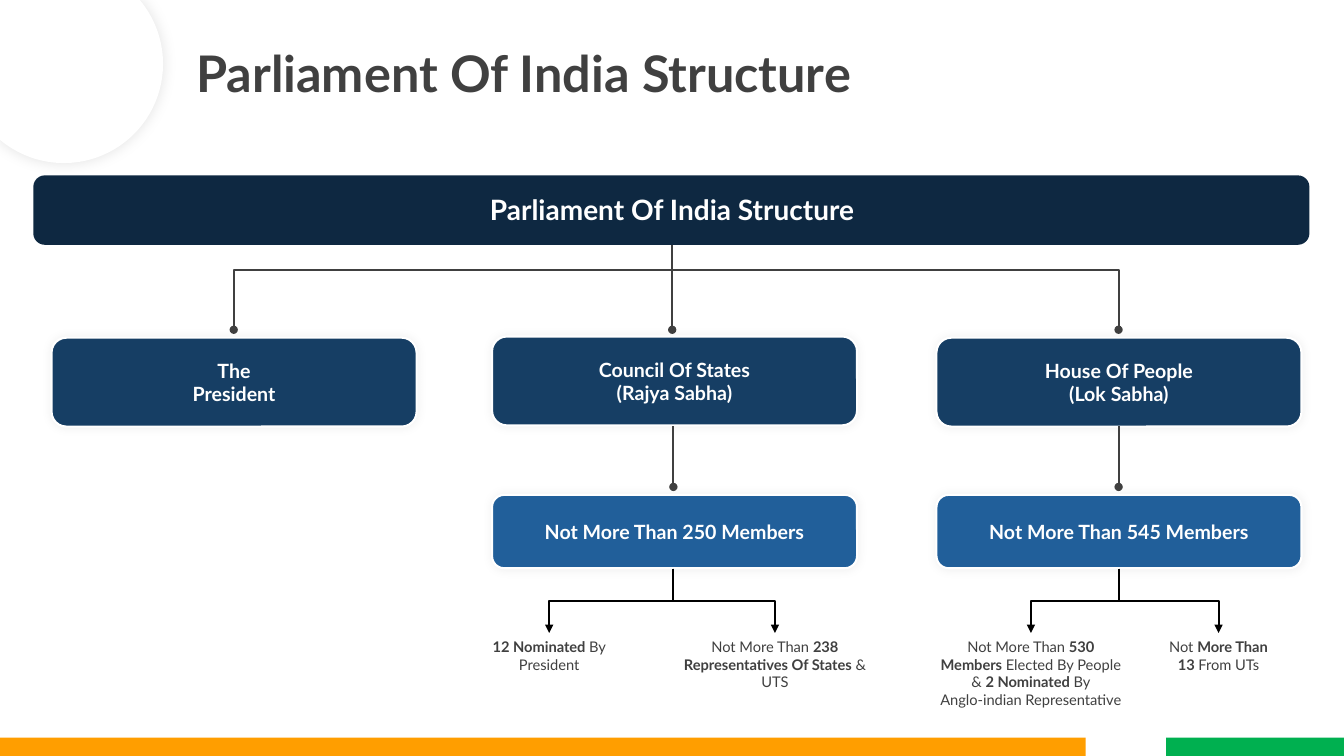
import math

import pptx
import pptx.dml.color
import pptx.enum.shapes
import pptx.enum.text
import pptx.oxml
import pptx.oxml.ns
import pptx.util

Cm = pptx.util.Cm
Pt = pptx.util.Pt
qn = pptx.oxml.ns.qn
SHAPES = pptx.enum.shapes.MSO_SHAPE
CONNECTORS = pptx.enum.shapes.MSO_CONNECTOR
ALIGN = pptx.enum.text.PP_ALIGN
ANCHOR = pptx.enum.text.MSO_ANCHOR

COLORS = {
    "white": "FFFFFF",
    "gray": "404040",
    "black": "000000",
    "navy": "0E2841",
    "blue": "163E64",
    "light_blue": "215F9A",
    "orange": "FF9E00",
    "green": "00B050",
}


def rgb(name):
    return pptx.dml.color.RGBColor.from_string(COLORS[name])


def write_text(frame, text, size=14, color="gray", bold=False,
               align=ALIGN.CENTER, font="Lato"):
    """Write one paragraph per line; asterisks switch bold on and off."""
    frame.word_wrap = True
    for index, line in enumerate(text.split("\n")):
        paragraph = frame.paragraphs[0] if index == 0 else frame.add_paragraph()
        paragraph.alignment = align
        for position, part in enumerate(line.split("*")):
            if not part:
                continue
            run = paragraph.add_run()
            run.text = part
            run.font.name = font
            run.font.size = Pt(size)
            run.font.bold = bold or position % 2 == 1
            run.font.color.rgb = rgb(color)


class SlideBuilder:
    def __init__(self, slide, line_width=1.5):
        self.slide = slide
        self.line_width = Pt(line_width)

    def style(self, shape, fill, outline=None, shadow=None):
        shape.fill.solid()
        shape.fill.fore_color.rgb = rgb(fill)
        if outline:
            shape.line.color.rgb = rgb(outline)
            shape.line.width = self.line_width
        else:
            shape.line.fill.background()
        shape.shadow.inherit = False
        if shadow:
            blur, opacity = shadow
            effects = shape._element.spPr.find(qn("a:effectLst"))
            effects.append(pptx.oxml.parse_xml(
                f'<a:outerShdw {pptx.oxml.ns.nsdecls("a")} blurRad="{Pt(blur)}" '
                f'dist="0" algn="ctr" rotWithShape="0"><a:srgbClr val="000000">'
                f'<a:alpha val="{opacity * 1000}"/></a:srgbClr></a:outerShdw>'))

    def box(self, kind, left, top, width, height, fill, **style):
        shape = self.slide.shapes.add_shape(
            kind, Cm(left), Cm(top), Cm(width), Cm(height))
        self.style(shape, fill, **style)
        return shape

    def card(self, left, top, width, height, fill, text):
        shape = self.box(SHAPES.ROUNDED_RECTANGLE, left, top, width, height, fill,
                         outline="white", shadow=(7, 5))
        shape.text_frame.vertical_anchor = ANCHOR.MIDDLE
        write_text(shape.text_frame, text, color="white", bold=True)

    def label(self, left, top, width, height, text, **text_format):
        shape = self.slide.shapes.add_textbox(
            Cm(left), Cm(top), Cm(width), Cm(height))
        write_text(shape.text_frame, text, **text_format)
        shape.text_frame.auto_size = pptx.enum.text.MSO_AUTO_SIZE.SHAPE_TO_FIT_TEXT

    def branch(self, start_x, start_y, end_x, end_y, color="gray", end="oval"):
        """Go down from start to end, with a sideways step halfway if needed."""
        if start_x == end_x:
            kind, rotation = CONNECTORS.STRAIGHT, 0
            points = (start_x, start_y, end_x, end_y)
        else:
            # An elbow runs sideways first, so it is laid flat and turned
            kind, rotation = CONNECTORS.ELBOW, 90 if end_x < start_x else 270
            center_x, center_y = (start_x + end_x) / 2, (start_y + end_y) / 2
            half_width = (end_y - start_y) / 2 * (1 if end_x < start_x else -1)
            half_height = abs(end_x - start_x) / 2
            points = (center_x - half_width, center_y - half_height,
                      center_x + half_width, center_y + half_height)
        connector = self.slide.shapes.add_connector(kind, *map(Cm, points))
        connector.line.color.rgb = rgb(color)
        connector.line.width = self.line_width
        properties = connector._element.spPr
        if rotation:
            properties.xfrm.set("rot", str(rotation * 60000))
        tail = pptx.oxml.parse_xml(
            f'<a:tailEnd {pptx.oxml.ns.nsdecls("a")} type="{end}"/>')
        properties.find(qn("a:ln")).append(tail)
        properties.append(pptx.oxml.parse_xml(
            f'<a:effectLst {pptx.oxml.ns.nsdecls("a")}/>'))

    def corner_circle(self, center, radius, steps=80):
        """Draw the part of a circle that lies inside the top left corner."""
        first = -math.asin(center / radius)
        last = math.acos(-center / radius)
        angles = [first + (last - first) * step / steps for step in range(steps + 1)]
        points = [(Cm(center + radius * math.cos(angle)),
                   Cm(center + radius * math.sin(angle))) for angle in angles]
        builder = self.slide.shapes.build_freeform(0, 0)
        builder.add_line_segments(points, close=True)
        self.style(builder.convert_to_shape(), "white", shadow=(10, 10))


def main():
    presentation = pptx.Presentation()
    presentation.slide_width = Cm(33.87)
    presentation.slide_height = Cm(19.05)
    slide = presentation.slides.add_slide(presentation.slide_layouts[6])
    builder = SlideBuilder(slide)

    # Branches from the parliament to its three parts
    for end_x in (5.89, 28.19, 16.94):
        builder.branch(16.94, 5.28, end_x, 8.31)

    # Parliament bar
    builder.box(SHAPES.ROUNDED_RECTANGLE, 0.84, 4.42, 32.16, 1.75, "navy")
    builder.label(1.04, 4.72, 31.8, 1.12, "Parliament Of India Structure",
                  size=20, color="white", bold=True)

    # The three parts
    card_width = 9.2
    for left, top, text in (
        (1.3, 8.51, "The\nPresident"),
        (12.4, 8.48, "Council Of States\n(Rajya Sabha)"),
        (23.6, 8.51, "House Of People\n(Lok Sabha)"),
    ):
        builder.card(left, top, card_width, 2.24, "blue", text)

    # Members of each house: card, then notes as (center, width, height, text)
    houses = (
        (12.4, 16.97, 250, (
            (13.84, 4.11, 1.19, "*12 Nominated *By President"),
            (19.53, 5.13, 1.6,
             "Not More Than *238 Representatives Of States *& UTS"),
        )),
        (23.6, 28.19, 545, (
            (25.98, 5.33, 2.06,
             "Not More Than *530 Members *Elected By People & *2 Nominated *By\n"
             "Anglo-indian Representative"),
            (30.71, 3.76, 1.19, "Not *More Than*\n*13 *From UTs"),
        )),
    )
    for left, stem, members, notes in houses:
        builder.card(left, 12.47, card_width, 1.85, "light_blue",
                     f"Not More Than {members} Members")
        builder.branch(stem, 10.74, stem, 12.27)
        for center, width, height, text in notes:
            builder.label(center - width / 2, 15.95, width, height, text, size=10.5)
            builder.branch(stem, 14.33, center, 15.95, color="black", end="triangle")

    # Title and corner circle
    builder.corner_circle(1.61, 2.5)
    builder.label(4.7, 0.94, 29.16, 1.8, "Parliament Of India Structure",
                  size=36, bold=True, align=ALIGN.LEFT)

    # Footer bars
    for left, width, fill in ((0, 27.36, "orange"), (29.39, 4.48, "green")):
        builder.box(SHAPES.RECTANGLE, left, 18.59, width, 0.46, fill)

    presentation.save("out.pptx")


if __name__ == "__main__":
    main()
